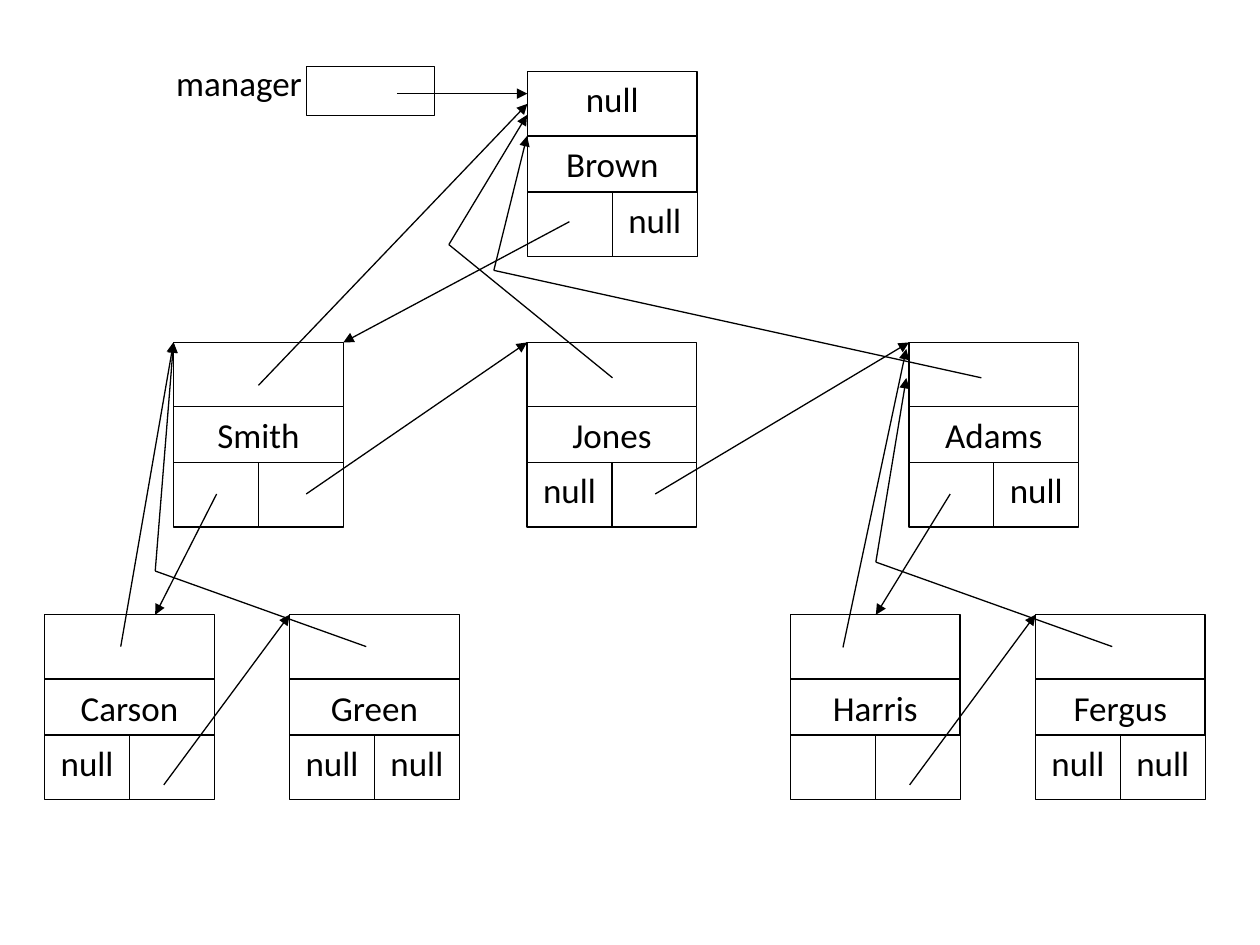
"""Build a slide showing a linked tree of managers and employees."""
from lxml import etree
from pptx import Presentation
from pptx.dml.color import RGBColor
from pptx.enum.shapes import MSO_CONNECTOR as CONN, MSO_SHAPE as SHAPE
from pptx.enum.text import MSO_ANCHOR as ANCHOR, PP_ALIGN as ALIGN
from pptx.oxml.ns import qn
from pptx.util import Pt

color = RGBColor.from_string


def add_box(x, y, w, h, text="", anchor=ANCHOR.TOP, align=ALIGN.CENTER,
            inset=(1.5, 3.6), line="000000"):
    s = slide.shapes.add_shape(SHAPE.RECTANGLE, Pt(x), Pt(y), Pt(w), Pt(h))
    s.shadow.inherit = False
    s.fill.solid()
    s.fill.fore_color.rgb = color("FFFFFF")
    s.line.color.rgb = color(line)
    s.line.width = Pt(0.75)
    if text:
        tf = s.text_frame
        tf.word_wrap = True
        tf.vertical_anchor = anchor
        tf.margin_left = tf.margin_right = Pt(inset[0])
        tf.margin_top = tf.margin_bottom = Pt(inset[1])
        p = tf.paragraphs[0]
        p.alignment = align
        p.space_after = Pt(10)
        r = p.add_run()
        r.text = text
        r.font.name = "Calibri"
        r.font.size = Pt(20)
        r.font.color.rgb = color("000000")
    return s


def add_line(x1, y1, x2, y2, arrow=True):
    c = slide.shapes.add_connector(CONN.STRAIGHT, Pt(x1), Pt(y1), Pt(x2), Pt(y2))
    c.line.color.rgb = color("000000")
    c.line.width = Pt(0.75)
    if arrow:
        ln = c.line._get_or_add_ln()
        etree.SubElement(ln, qn("a:tailEnd"), type="triangle")
    etree.SubElement(c._element.spPr, qn("a:effectLst"))
    return c


prs = Presentation()
prs.slide_width, prs.slide_height = Pt(720), Pt(540)
slide = prs.slides.add_slide(prs.slide_layouts[6])

NODE_W, HALF_W = 97, 48.5
LINK_H, NAME_H = 36.7, 32
TOP, MIDDLE, BOTTOM = 41, 195.7, 351.3

nodes = [
    ("Brown", 301.4, TOP, "null", "", "null"),
    ("Smith", 99.2, MIDDLE, "", "", ""),
    ("Jones", 301.2, MIDDLE, "", "null", ""),
    ("Adams", 519.4, MIDDLE, "", "", "null"),
    ("Carson", 25.5, BOTTOM, "", "null", ""),
    ("Green", 165.5, BOTTOM, "", "null", "null"),
    ("Harris", 451.7, BOTTOM, "", "", ""),
    ("Fergus", 591.7, BOTTOM, "", "null", "null"),
]
parents = {}
for name, x, y, parent, child, sibling in nodes:
    add_box(x, y + LINK_H, NODE_W, NAME_H, name, ANCHOR.MIDDLE, inset=(1.5, 0.7))
    parents[name] = add_box(x, y, NODE_W, LINK_H, parent)
    y_links = y + LINK_H + NAME_H
    add_box(x, y_links, HALF_W, LINK_H, child)
    add_box(x + HALF_W, y_links, HALF_W, LINK_H, sibling)

add_box(93.6, 31.7, 116.6, 46, "manager", align=ALIGN.LEFT, inset=(7.2, 3.6),
        line="FFFFFF")
add_box(175, 38, 73.4, 28)

arrows = [
    (226.8, 53.5, 301.4, 53.5),
    (325.4, 126.7, 196.2, 195.7),
    (175, 282.3, 301.2, 195.7),
    (374.4, 282.3, 519.4, 195.7),
    (93.6, 448.5, 165.5, 351.3),
    (519.8, 448.5, 591.7, 351.3),
    (69, 369.5, 99.2, 195.5),
    (481.7, 370, 517.9, 199.4),
    (123.8, 282.3, 88.7, 351.3),
    (543, 282.3, 500.5, 351.3),
]
for ends in arrows:
    add_line(*ends)

smith_parent = add_line(147.7, 220.2, 301.4, 59.3)
smith_parent.end_connect(parents["Brown"], 1)

bent_links = [
    ((350, 215.9), (256.5, 139.8), (301.2, 65.7)),
    ((560.8, 215.9), (282.2, 154.5), (301.2, 77.7)),
    ((209.3, 369.5), (88.7, 326.3), (99.2, 195.7)),
    ((635.6, 369.5), (500.5, 321.2), (517.9, 216)),
]
for start, bend, end in bent_links:
    add_line(*start, *bend, arrow=False)
    add_line(*bend, *end)

prs.save("out.pptx")
